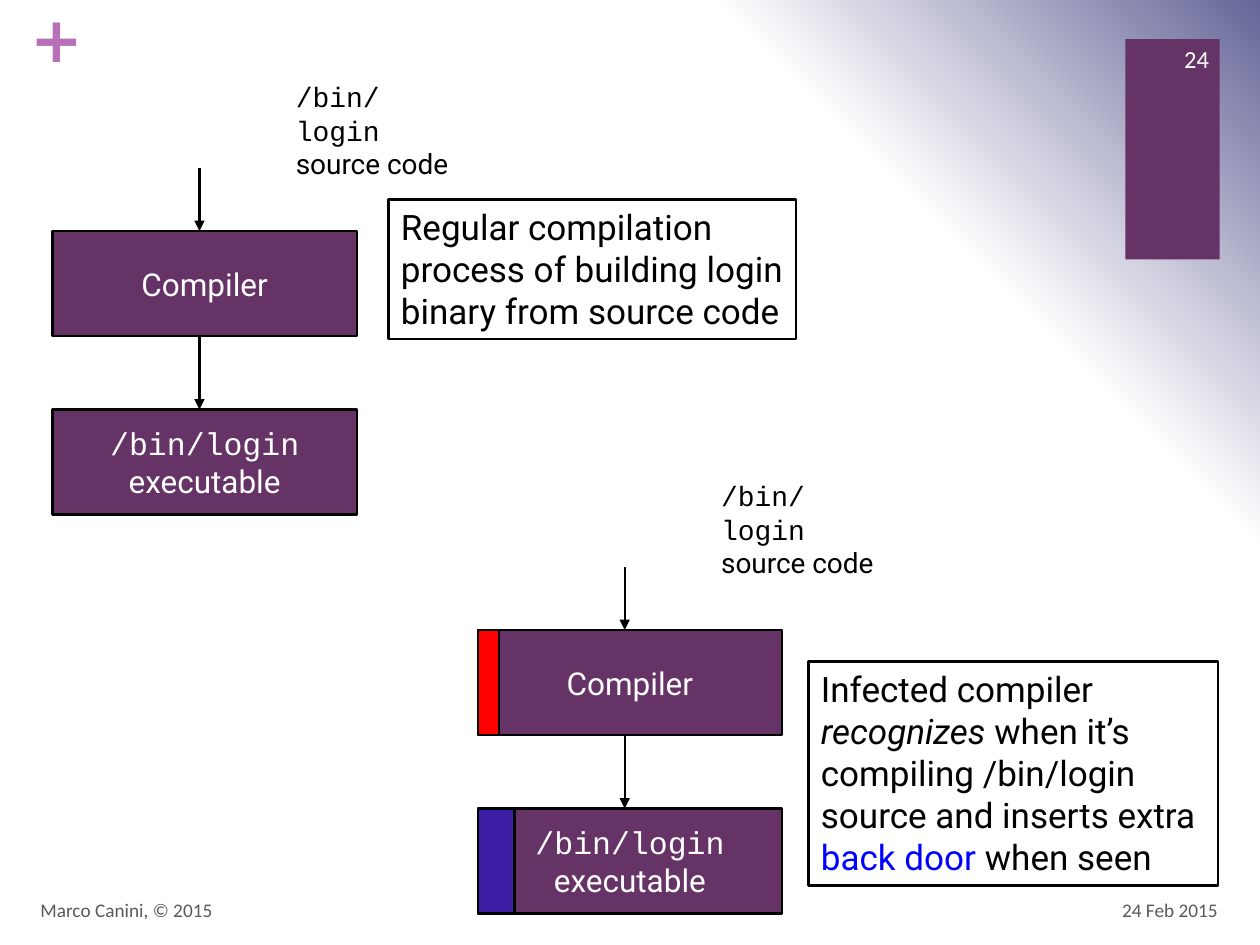
from lxml import etree
from pptx import Presentation
from pptx.dml import color
from pptx.enum import shapes, text
from pptx.oxml import ns, parse_xml
from pptx.util import Pt

COLORS = {
    "plum": "663366", "orchid": "B870B8", "white": "FFFFFF", "black": "000000",
    "grey": "595959", "red": "FF0000", "blue": "0000FF", "haze": "666699",
}
BODY, CODE, SMALL = "Roboto", "Courier New", "Calibri"
BOX_W, BOX_H = 174, 60


def rgb(name):
    return color.RGBColor.from_string(COLORS[name])


def paint_background(page):
    """White that fades to a haze in the top right corner."""
    stops = "".join(
        f'<a:gs pos="{pos}"><a:srgbClr val="{COLORS[name]}"/></a:gs>'
        for pos, name in [(0, "white"), (75000, "white"), (100000, "haze")])
    page._element.cSld.insert(0, parse_xml(
        f'<p:bg {ns.nsdecls("p", "a")}><p:bgPr><a:gradFill rotWithShape="1">'
        f'<a:gsLst>{stops}</a:gsLst><a:path path="circle">'
        '<a:fillToRect t="100000" r="100000"/></a:path></a:gradFill>'
        '<a:effectLst/></p:bgPr></p:bg>'))


def write(box, spans, size, ink, align="LEFT", anchor="TOP", wrap=True, margin=None):
    """Fill a box with (words, font format) spans; None stands for a line break."""
    frame = box.text_frame
    settings = {"word_wrap": wrap, "vertical_anchor": text.MSO_ANCHOR[anchor]}
    if margin is not None:
        for side in ("left", "top", "right", "bottom"):
            settings[f"margin_{side}"] = Pt(margin)
    for name, value in settings.items():
        setattr(frame, name, value)
    para = frame.paragraphs[0]
    para.alignment = text.PP_ALIGN[align]
    for item in spans:
        if item is None:
            para.add_line_break()
            continue
        words, extra = item
        span = para.add_run()
        span.text = words
        look = {"name": BODY, "size": Pt(size), **extra}
        span.font.color.rgb = rgb(look.pop("ink", ink))
        for name, value in look.items():
            setattr(span.font, name, value)


def add_text(page, left, top, width, height, spans, size, ink, **layout):
    box = page.shapes.add_textbox(Pt(left), Pt(top), Pt(width), Pt(height))
    write(box, spans, size, ink, **layout)


def add_box(page, left, top, width, height, fill=None, line="black"):
    box = page.shapes.add_shape(
        shapes.MSO_SHAPE.RECTANGLE, Pt(left), Pt(top), Pt(width), Pt(height))
    box.shadow.inherit = False
    if fill:
        box.fill.solid()
        box.fill.fore_color.rgb = rgb(fill)
    else:
        box.fill.background()
    if line:
        box.line.color.rgb = rgb(line)
        box.line.width = Pt(1.25)
    else:
        box.line.fill.background()
    return box


def add_down_arrow(page, x, top, bottom):
    arrow = page.shapes.add_connector(
        shapes.MSO_CONNECTOR.STRAIGHT, Pt(x), Pt(top), Pt(x), Pt(bottom))
    arrow.line.color.rgb = rgb("black")
    arrow.line.width = Pt(1.25)
    etree.SubElement(arrow.line._get_or_add_ln(), ns.qn("a:tailEnd"), type="triangle")
    etree.SubElement(arrow._element.spPr, ns.qn("a:effectLst"))


def add_flow(page, left, top):
    """Source code, compiler and executable, joined by arrows."""
    login = ("/bin/login", {"name": CODE})
    add_text(page, left + 132, top, 102, 46,
             [login, None, ("source code", {})], 16, "black")
    steps = [(90, [("Compiler", {})]), (192, [login, None, ("executable", {})])]
    for offset, spans in steps:
        box = add_box(page, left, top + offset, BOX_W, BOX_H, "plum")
        write(box, spans, 18, "white", align="CENTER", anchor="MIDDLE", wrap=False)
    for start, end in [(54, 90), (150, 192)]:
        add_down_arrow(page, left + 84, top + start, top + end)


def add_infection(page, left, top):
    """Strips that mark the infected compiler and the back door it plants."""
    add_box(page, left, top + 90, 12, BOX_H, "red")
    door = add_box(page, left, top + 192, 21, BOX_H, "blue")
    tint = door._element.spPr.find(ns.qn("a:solidFill"))[0]
    etree.SubElement(tint, ns.qn("a:alpha"), val="41000")


def add_note(page, left, top, width, height, spans):
    write(add_box(page, left, top, width, height), spans, 20, "black")


def add_frame(page):
    """Plum tab and plus sign of the theme."""
    add_box(page, 643, 22.3, 54, 126, "plum", line=None)
    add_text(page, 17.5, 0, 21, 44, [("+", {"name": "DejaVu Sans", "bold": True})],
             36, "orchid", wrap=False, margin=0)


def add_footer(page):
    items = [
        (535, 505.5, 168, "24 Feb 2015", 11, "grey", "RIGHT"),
        (16, 505.5, 482, "Marco Canini, © 2015", 11, "grey", "LEFT"),
        (654, 19, 44, "24", 14, "white", "RIGHT"),
    ]
    for left, top, width, words, size, ink, align in items:
        add_text(page, left, top, width, 29, [(words, {"name": SMALL})],
                 size, ink, align=align, anchor="MIDDLE")


def main():
    deck = Presentation()
    deck.slide_width, deck.slide_height = Pt(720), Pt(540)
    page = deck.slides.add_slide(deck.slide_layouts[6])
    paint_background(page)
    add_frame(page)
    add_flow(page, 30, 42)
    add_note(page, 222, 114, 233, 80, [
        ("Regular compilation process of building login binary from source code", {})])
    add_flow(page, 273, 270)
    add_infection(page, 273, 270)
    add_note(page, 462, 378, 234, 128, [
        ("Infected compiler ", {}),
        ("recognizes", {"italic": True}),
        (" when it’s compiling /bin/login source and inserts extra ", {}),
        ("back door", {"ink": "blue"}),
        (" when seen", {}),
    ])
    add_footer(page)
    deck.save("out.pptx")


if __name__ == "__main__":
    main()
